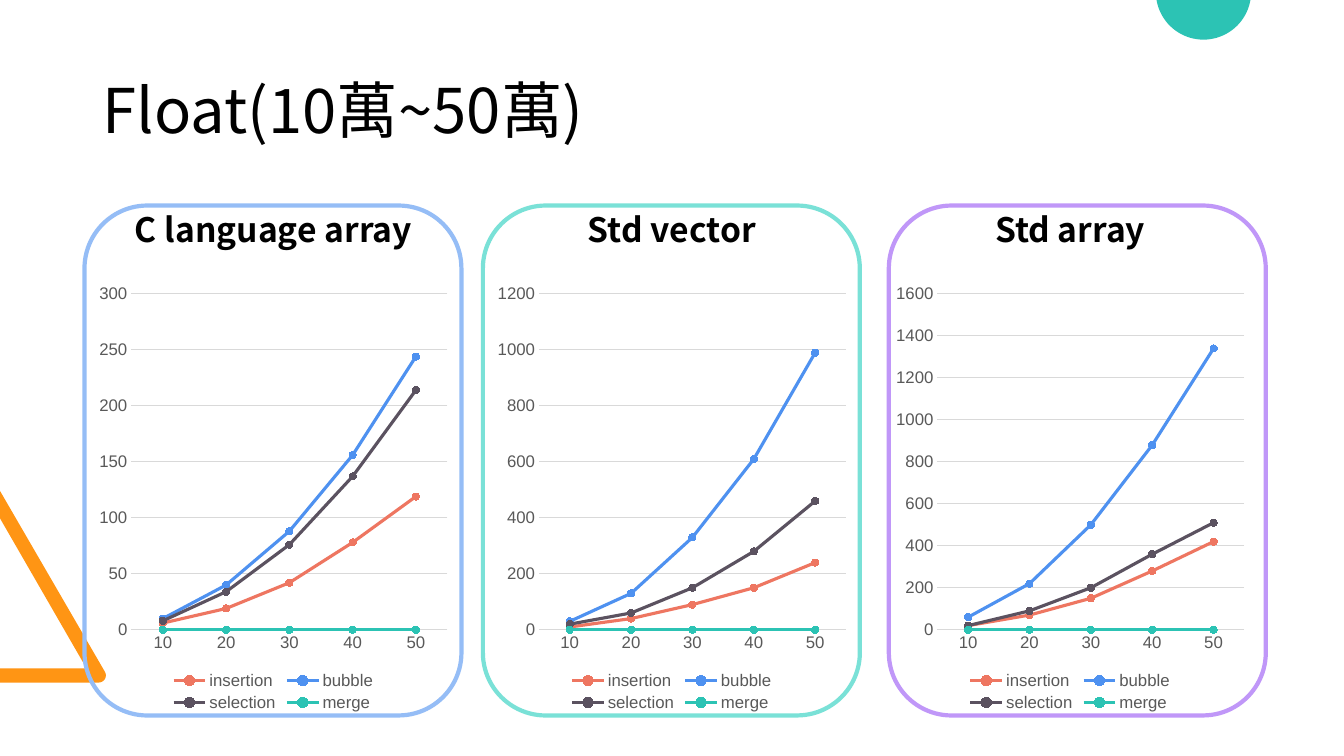
import math

from pptx import Presentation, util as u
from pptx.chart import data
from pptx.dml import color
from pptx.enum import chart as ch, shapes, text

FACE = "Noto Sans CJK TC"
TEAL, GREY, RULE = "2CC3B4", "595959", "D9D9D9"
SIZES = ["10", "20", "30", "40", "50"]
SORTS = {"insertion": "EE7661", "bubble": "4E91F0",
         "selection": "5B5260", "merge": TEAL}
# heading, outline colour, axis maximum, axis step, frame inset, times per sort
CARDS = [
    ("C language array", "95BDF6", 300, 50, 0.19,
     [(6, 19, 42, 78, 119), (10, 40, 88, 156, 244),
      (8, 34, 76, 137, 214), (0,) * 5]),
    ("Std vector", "7AE1D7", 1200, 200, 0.19,
     [(10, 40, 90, 150, 240), (30, 130, 330, 610, 990),
      (20, 60, 150, 280, 460), (0,) * 5]),
    ("Std array", "C097F8", 1600, 200, 0,
     [(20, 70, 150, 280, 420), (60, 220, 500, 880, 1340),
      (20, 90, 200, 360, 510), (0,) * 5]),
]


def tint(part, code):
    """Give a fill or line format one solid colour."""
    fill = part if hasattr(part, "solid") else part.fill
    fill.solid()
    fill.fore_color.rgb = color.RGBColor.from_string(code)


def style(font, size, code, face, bold=False):
    """Set size, colour, face and weight of a font."""
    font.size, font.name, font.bold = u.Pt(size), face, bold
    font.color.rgb = color.RGBColor.from_string(code)


def write(frame, words, size, align, anchor, bold=False):
    """Put one styled run in a text frame."""
    frame.word_wrap, frame.vertical_anchor = True, anchor
    para = frame.paragraphs[0]
    para.alignment, para.line_spacing = align, 0.9
    run = para.add_run()
    run.text = words
    style(run.font, size, "000000", FACE, bold)
    east = run.font._element.makeelement(
        "{http://schemas.openxmlformats.org/drawingml/2006/main}ea",
        {"typeface": FACE})
    run.font._element.find("{*}latin").addnext(east)
    return para


def patch(slide, points, code):
    """Draw a closed filled outline through points in centimetres."""
    spots = [(u.Cm(x), u.Cm(y)) for x, y in points]
    pen = slide.shapes.build_freeform(*spots[0])
    pen.add_line_segments(spots[1:], close=True)
    shape = pen.convert_to_shape()
    shape.shadow.inherit = False
    tint(shape.fill, code)
    shape.line.fill.background()


def arc(x, y, radius, start, end, steps=40):
    """List points on an arc, angles in degrees clockwise from the right."""
    turns = [math.radians(start + (end - start) * i / steps)
             for i in range(steps + 1)]
    return [(x + radius * math.cos(t), y + radius * math.sin(t))
            for t in turns]


def decor(slide):
    """Draw the orange wedge at the left and the teal disc at the top."""
    tip = arc(2.49, 17.02, 0.18, -30, 90, 8)
    patch(slide, [(0, 17.2), (0, 16.84), (2.18, 16.84), (0, 13.06),
                  (0, 12.37)] + tip, "FF9514")
    drop, radius = 0.2, 1.2
    edge = math.degrees(math.asin(drop / radius))
    patch(slide, arc(30.33, -drop, radius, edge, 180 - edge), TEAL)


def head(slide, words, left, top, width, height):
    """Place and fill the title."""
    title = slide.shapes.title
    title.left, title.top = u.Cm(left), u.Cm(top)
    title.width, title.height = u.Cm(width), u.Cm(height)
    write(title.text_frame, words, 44, text.PP_ALIGN.LEFT,
          text.MSO_ANCHOR.MIDDLE)


def graph(slide, times, top_val, step, box):
    """Add the line chart of one container type."""
    table = data.CategoryChartData()
    table.categories = SIZES
    for name, row in zip(SORTS, times):
        table.add_series(name, row)
    chart = slide.shapes.add_chart(
        ch.XL_CHART_TYPE.LINE_MARKERS, *map(u.Cm, box), table).chart
    style(chart.font, 10, "000000", "Arial")
    chart.has_title = False
    chart.has_legend = True
    chart.legend.position = ch.XL_LEGEND_POSITION.BOTTOM
    chart.legend.include_in_layout = False
    style(chart.legend.font, 12, GREY, "Arial")
    chart.plots[0].vary_by_categories = False

    for axis in (chart.category_axis, chart.value_axis):
        axis.major_tick_mark = axis.minor_tick_mark = ch.XL_TICK_MARK.NONE
        style(axis.tick_labels.font, 12, GREY, "Arial")
    scale = chart.value_axis
    scale.minimum_scale, scale.maximum_scale = 0, top_val
    scale.major_unit = step
    scale.has_major_gridlines = True
    scale.format.line.fill.background()
    for line in (chart.category_axis.format.line,
                 scale.major_gridlines.format.line):
        tint(line, RULE)
        line.width = u.Pt(0.75)

    for row, code in zip(chart.plots[0].series, SORTS.values()):
        row.smooth = False
        row.format.line.width = u.Pt(2.25)
        row.marker.style, row.marker.size = ch.XL_MARKER_STYLE.CIRCLE, 5
        for part in (row.format.line, row.marker.format.fill,
                     row.marker.format.line):
            tint(part, code)


def card(slide, item, left, top, width, height):
    """Build one card: heading, chart and rounded outline."""
    words, code, top_val, step, inset, times = item
    label = slide.shapes.add_textbox(*map(u.Cm, (left, top, width, 1.24)))
    para = write(label.text_frame, words, 24, text.PP_ALIGN.CENTER,
                 text.MSO_ANCHOR.BOTTOM, True)
    para.space_before = u.Pt(10)
    gap = 1.78
    graph(slide, times, top_val, step,
          (left, top + gap, width, height - gap))
    frame = slide.shapes.add_shape(
        shapes.MSO_SHAPE.ROUNDED_RECTANGLE,
        *map(u.Cm, (left - inset, top, width + 0.36, height)))
    frame.shadow.inherit = False
    frame.fill.background()
    tint(frame.line, code)
    frame.line.width = u.Pt(3)


def main():
    """Build and save the slide."""
    deck = Presentation()
    deck.slide_width, deck.slide_height = u.Cm(33.87), u.Cm(19.05)
    slide = deck.slides.add_slide(deck.slide_layouts[5])
    decor(slide)
    head(slide, "Float(10萬~50萬)", 2.33, 1.02, 29.21, 3.68)
    for i, item in enumerate(CARDS):
        card(slide, item, 2.32 + 10.04 * i, 5.18, 9.14, 12.85)
    deck.save("out.pptx")


main()
